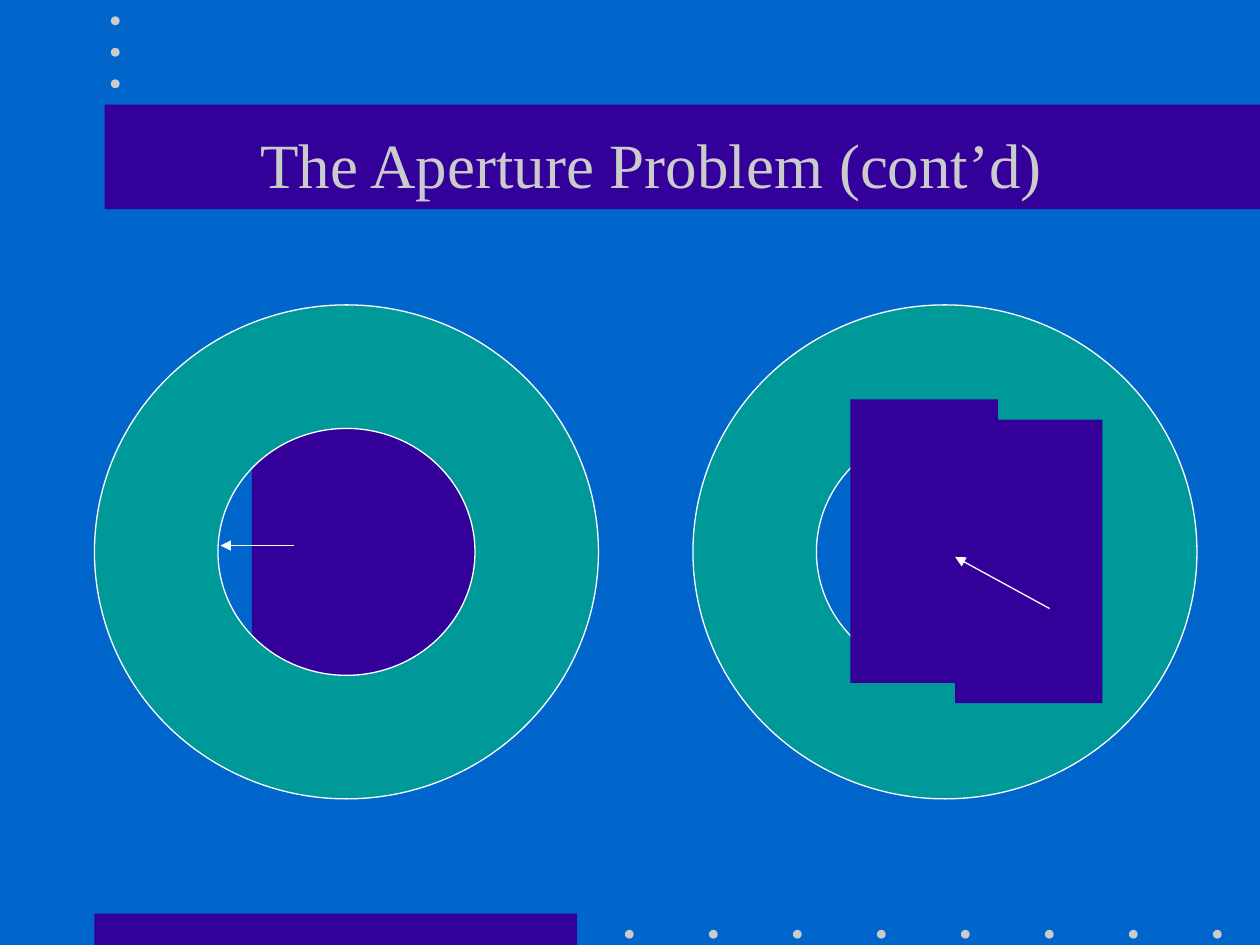
from lxml import etree
from pptx import Presentation
from pptx.dml.color import RGBColor
from pptx.enum.shapes import MSO_CONNECTOR, MSO_SHAPE as SHAPE
from pptx.enum.text import MSO_ANCHOR, PP_ALIGN
from pptx.oxml.ns import qn
from pptx.util import Inches, Pt

BLUE, PURPLE, TEAL, GREY, WHITE = "0066CC", "330099", "009999", "CBCBCB", "FFFFFF"


def rgb(color):
    return RGBColor.from_string(color)


def write(tf, text, size=18, color=WHITE, font="Times New Roman", align=PP_ALIGN.LEFT):
    p = tf.paragraphs[0]
    p.alignment = align
    r = p.add_run()
    r.text = text
    r.font.size = Pt(size)
    r.font.name = font
    r.font.color.rgb = rgb(color)


prs = Presentation()
prs.slide_width, prs.slide_height = Inches(10), Inches(7.5)
s = prs.slides.add_slide(prs.slide_layouts[5])
s.background.fill.solid()
s.background.fill.fore_color.rgb = rgb(BLUE)

bars = [(0.75, 7.25, 3.83, 0.25), (0.83, 0.83, 9.17, 0.83)]
dots = [(4.96 + i * 2 / 3, 7.38, 0.07, 0.07) for i in range(8)]
dots += [(0.88, 0.13 + i * 0.25, 0.07, 0.07) for i in range(3)]
ring_left, ring_right = (0.75, 2.42, 4, 3.92), (5.5, 2.42, 4, 3.92)
squares_left = [(x, y, 1.17, 2.25) for x, y in [(2, 3.17), (2.83, 3.33)]]
squares_right = [(x, y, 1.17, 2.25) for x, y in [(7.58, 3.33), (6.75, 3.17)]]

layers = [
    (SHAPE.RECTANGLE, bars, PURPLE),
    (SHAPE.OVAL, dots, GREY),
    (SHAPE.RECTANGLE, squares_left, PURPLE),
    (SHAPE.DONUT, [ring_left, ring_right], TEAL),
    (SHAPE.RECTANGLE, squares_right, PURPLE),
]
for kind, boxes, color in layers:
    for box in boxes:
        sp = s.shapes.add_shape(kind, *[Inches(v) for v in box])
        sp.shadow.inherit = False
        sp.fill.solid()
        sp.fill.fore_color.rgb = rgb(color)
        if kind == SHAPE.DONUT:
            sp.line.color.rgb = rgb(WHITE)
            sp.line.width = Pt(0.75)
        else:
            sp.line.fill.background()

for ends in [(8.33, 4.83, 7.58, 4.42), (2.33, 4.33, 1.75, 4.33)]:
    arrow = s.shapes.add_connector(MSO_CONNECTOR.STRAIGHT, *[Inches(v) for v in ends])
    arrow.line.color.rgb = rgb(WHITE)
    arrow.line.width = Pt(0.75)
    etree.SubElement(arrow.line._get_or_add_ln(), qn("a:tailEnd"), type="triangle")
    etree.SubElement(arrow.element.spPr, qn("a:effectLst"))

title = s.shapes.title
title.left, title.top = Inches(0.92), Inches(0.67)
title.width, title.height = Inches(8.5), Inches(1.25)
title.text_frame.vertical_anchor = MSO_ANCHOR.MIDDLE
title.text_frame.word_wrap = True
write(title.text_frame, "The Aperture Problem (cont’d)", size=36, color=GREY, align=PP_ALIGN.CENTER)
title.element.getparent().append(title.element)

prs.save("out.pptx")
